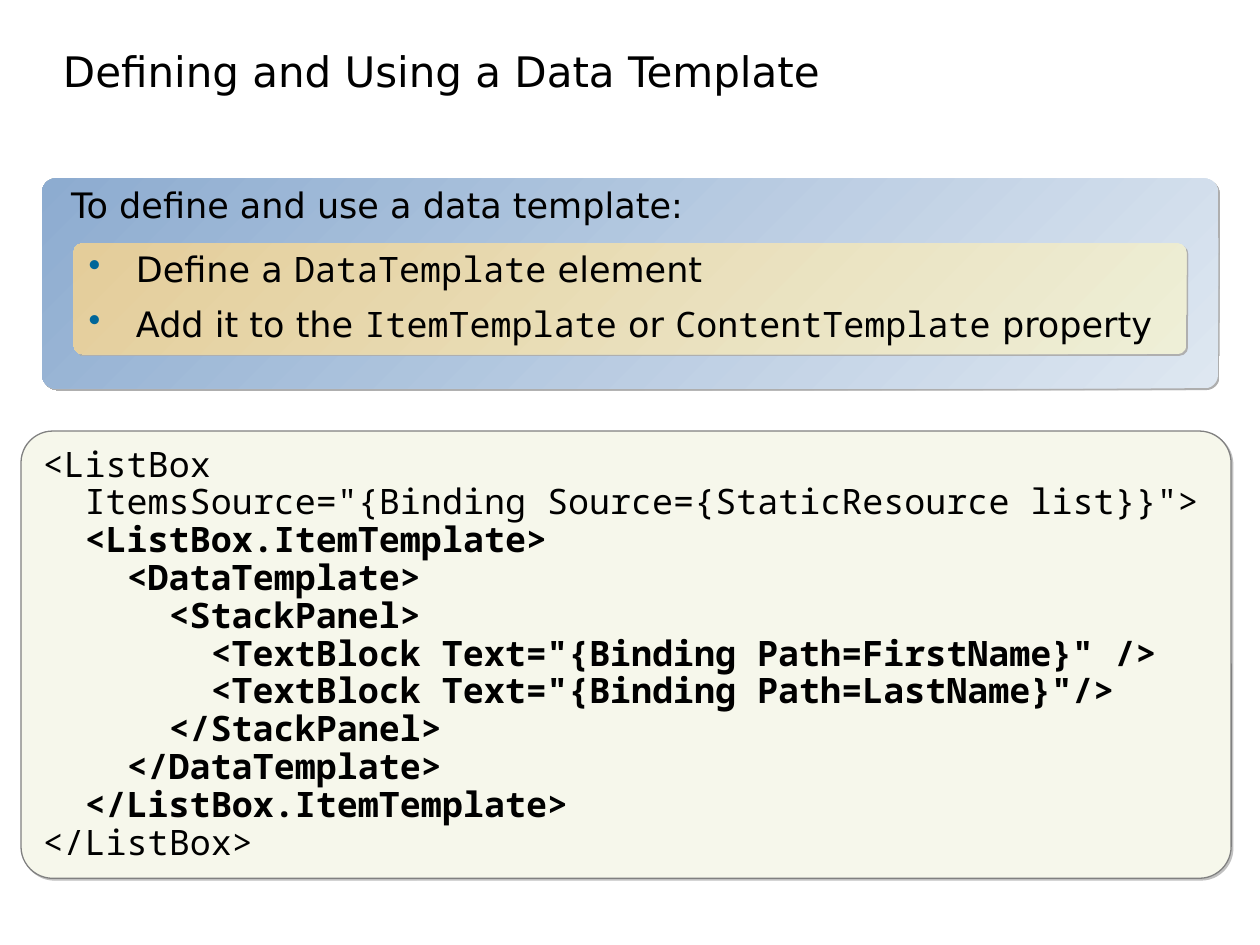
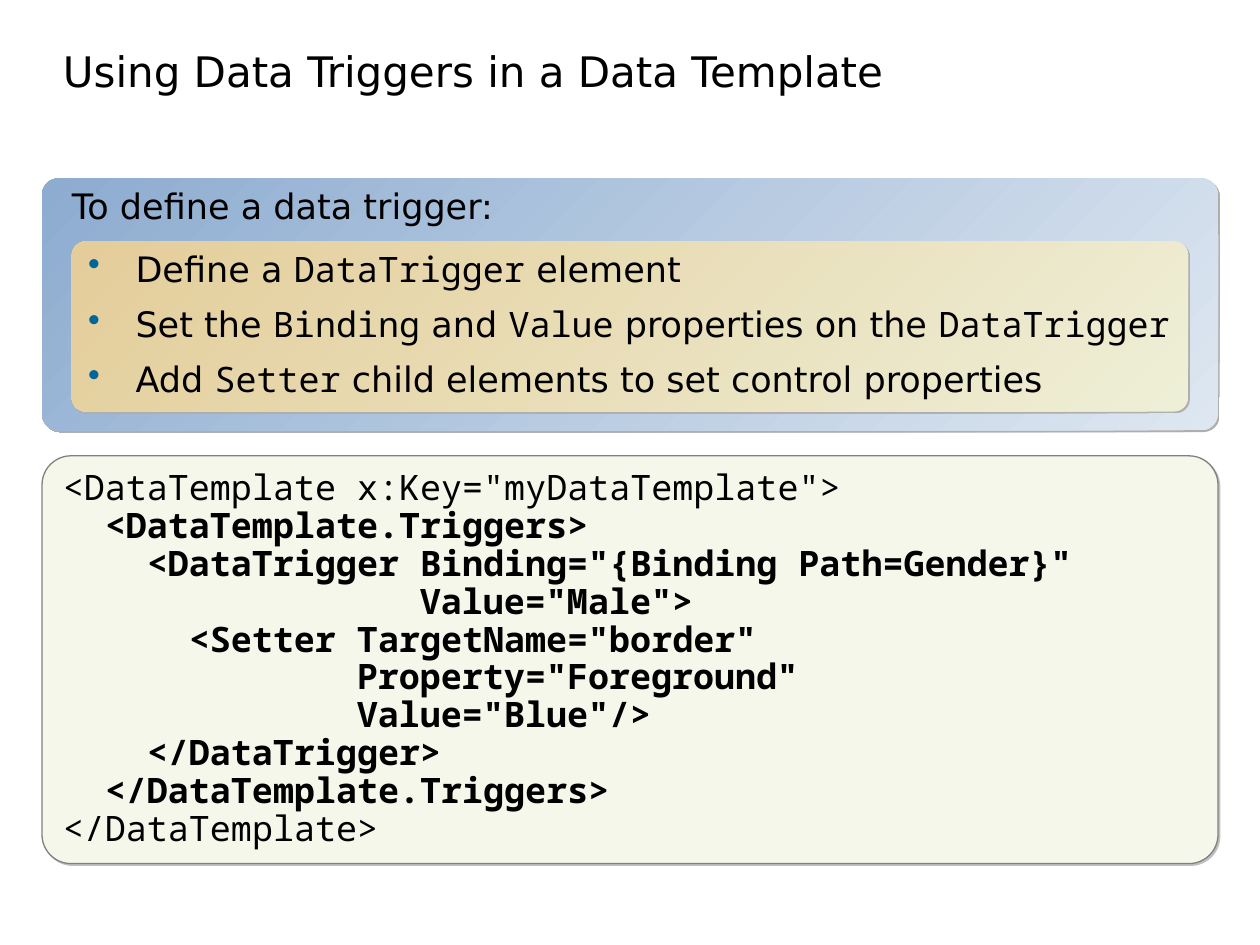
import lxml.etree
import pptx
import pptx.dml.color
import pptx.enum.shapes
import pptx.enum.text
import pptx.oxml.ns
import pptx.util

Pt = pptx.util.Pt
ANCHOR = pptx.enum.text.MSO_ANCHOR

COLORS = {
    "text": "000000",
    "bullet": "006699",
    "panel_light": "DEE7F1",
    "panel_dark": "8DACD0",
    "panel_shadow": "5F5F5F",
    "list_light": "EEEFD7",
    "list_dark": "E4CD9A",
    "list_shadow": "AFAFAF",
    "code_fill": "F6F7EB",
    "code_line": "808080",
    "code_shadow": "C0C0C0",
}
SANS, MONO = "DejaVu Sans", "Noto Sans Mono"
TITLE_SIZE, BODY_SIZE = 24, 20
CODE_CHARACTER = 0.6 * BODY_SIZE  # advance width of the code font
BULLET_INDENT = 27
TITLE_BOX = (36, 0, 612, 58.3)


def rgb(name):
    """Return the named palette colour."""
    return pptx.dml.color.RGBColor.from_string(COLORS[name])


def add_xml(parent, tag, **attributes):
    """Append a DrawingML element and return it."""
    return lxml.etree.SubElement(parent, pptx.oxml.ns.qn(tag), attributes)


def set_frame(shape, anchor, left, right):
    """Set wrapping, anchor and insets of a shape's text frame."""
    frame = shape.text_frame
    frame.word_wrap = True
    frame.vertical_anchor = anchor
    frame.margin_left, frame.margin_right = Pt(left), Pt(right)
    frame.margin_top = frame.margin_bottom = Pt(3.6)
    return frame


def format_runs(paragraph, size=BODY_SIZE, font=SANS, bold=False, spacing=0.9):
    """Apply font and line spacing to a paragraph and its runs."""
    paragraph.alignment = pptx.enum.text.PP_ALIGN.LEFT
    paragraph.line_spacing = spacing
    for run in paragraph.runs:
        run.font.size = Pt(size)
        run.font.name = font
        run.font.bold = bold
        run.font.color.rgb = rgb("text")


def add_paragraphs(frame, count):
    """Return the frame's paragraphs after extending them to count."""
    for _ in range(count - 1):
        frame.add_paragraph()
    return frame.paragraphs


def indent(paragraph, left, first=0):
    """Set left margin and first-line indent, and return the properties."""
    properties = paragraph._p.get_or_add_pPr()
    properties.set("marL", str(Pt(left)))
    properties.set("indent", str(Pt(first)))
    return properties


def add_rounded_box(slide, box, corner, shadow, opacity=100):
    """Add a rounded rectangle with a short, hard shadow."""
    shape = slide.shapes.add_shape(
        pptx.enum.shapes.MSO_SHAPE.ROUNDED_RECTANGLE, *map(Pt, box))
    shape.adjustments[0] = corner
    shape.line.fill.background()
    shape.shadow.inherit = False
    effects = shape._element.spPr.find(pptx.oxml.ns.qn("a:effectLst"))
    outer = add_xml(effects, "a:outerShdw", blurRad="0", dist=str(Pt(1.4)),
                    dir="2700000", algn="ctr", rotWithShape="0")
    color = add_xml(outer, "a:srgbClr", val=COLORS[shadow])
    add_xml(color, "a:alpha", val=str(opacity * 1000))
    return shape


def fill_gradient(shape, light, dark):
    """Fill from dark at the top left to light at the bottom right."""
    shape.fill.gradient()
    shape.fill.gradient_angle = 135
    for stop, name in zip(shape.fill.gradient_stops, (light, dark)):
        stop.color.rgb = rgb(name)


def add_title(slide, text, box=TITLE_BOX):
    """Add the slide title, resting on the bottom of its box."""
    frame = set_frame(slide.shapes.add_textbox(*map(Pt, box)), ANCHOR.BOTTOM, 0, 7.2)
    frame.text = text
    format_runs(frame.paragraphs[0], TITLE_SIZE, spacing=0.85)


def add_bullets(slide, box, items):
    """Add the bullet box; words between backticks are set as code."""
    shape = add_rounded_box(slide, box, 0.083, "list_shadow")
    fill_gradient(shape, "list_light", "list_dark")
    frame = set_frame(shape, ANCHOR.TOP, 7.2, 0)
    for paragraph, item in zip(add_paragraphs(frame, len(items)), items):
        parts = [part for part in enumerate(item.split("`")) if part[1]]
        for _, text in parts:
            paragraph.add_run().text = text
        format_runs(paragraph)
        for run, (position, _) in zip(paragraph.runs, parts):
            run.font.name = MONO if position % 2 else SANS
        paragraph.space_before = Pt(10)
        properties = indent(paragraph, BULLET_INDENT, -BULLET_INDENT)
        color = add_xml(properties, "a:buClr")
        add_xml(color, "a:srgbClr", val=COLORS["bullet"])
        add_xml(properties, "a:buChar", char="\u2022")


def add_steps_panel(slide, box, heading, items, inset, list_height):
    """Add the blue panel with its heading and the bullet box inside."""
    left, top, width, _ = box
    shape = add_rounded_box(slide, box, 0.065, "panel_shadow", 50)
    fill_gradient(shape, "panel_light", "panel_dark")
    frame = set_frame(shape, ANCHOR.TOP, 14.4, 14.4)
    frame.text = heading
    format_runs(frame.paragraphs[0])
    list_box = (left + inset, top + inset + 19, width - 2 * inset, list_height)
    add_bullets(slide, list_box, items)


def add_code(slide, box, code, bold_lines):
    """Add the code box; leading spaces become paragraph indents."""
    shape = add_rounded_box(slide, box, 0.071, "code_shadow")
    shape.fill.solid()
    shape.fill.fore_color.rgb = rgb("code_fill")
    shape.line.color.rgb = rgb("code_line")
    shape.line.width = Pt(0.75)
    frame = set_frame(shape, ANCHOR.MIDDLE, 7.2, 7.2)
    lines = code.strip().splitlines()
    paragraphs = add_paragraphs(frame, len(lines))
    for number, (paragraph, line) in enumerate(zip(paragraphs, lines)):
        paragraph.text = line.lstrip()
        format_runs(paragraph, font=MONO, bold=number in bold_lines)
        indent(paragraph, CODE_CHARACTER * (len(line) - len(paragraph.text)))


def add_topic_slide(presentation, title, steps, code):
    """Add a slide with a title, a panel of steps and a code sample."""
    slide = presentation.slides.add_slide(presentation.slide_layouts[6])
    add_title(slide, title)
    add_code(slide, **code)
    add_steps_panel(slide, **steps)


TEMPLATE_CODE = """
<ListBox
  ItemsSource="{Binding Source={StaticResource list}}">
  <ListBox.ItemTemplate>
    <DataTemplate>
      <StackPanel>
        <TextBlock Text="{Binding Path=FirstName}" />
        <TextBlock Text="{Binding Path=LastName}"/>
      </StackPanel>
    </DataTemplate>
  </ListBox.ItemTemplate>
</ListBox>
"""

TRIGGER_CODE = """
<DataTemplate x:Key="myDataTemplate">
  <DataTemplate.Triggers>
    <DataTrigger Binding="{Binding Path=Gender}"
                 Value="Male">
      <Setter TargetName="border"
              Property="Foreground"
              Value="Blue"/>
    </DataTrigger>
  </DataTemplate.Triggers>
</DataTemplate>
"""


def main():
    """Build and save the presentation."""
    presentation = pptx.Presentation()
    presentation.slide_width, presentation.slide_height = Pt(720), Pt(540)
    add_topic_slide(
        presentation,
        "Defining and Using a Data Template",
        steps={
            "box": (24, 102, 672, 120),
            "heading": "To define and use a data template:",
            "items": ["Define a `DataTemplate` element",
                      "Add it to the `ItemTemplate` or `ContentTemplate` property"],
            "inset": 18,
            "list_height": 63.4,
        },
        code={"box": (12, 246.3, 691.5, 255.6), "code": TEMPLATE_CODE,
              "bold_lines": range(2, 10)},
    )
    add_topic_slide(
        presentation,
        "Using Data Triggers in a Data Template",
        steps={
            "box": (24, 102, 672, 144),
            "heading": "To define a data trigger:",
            "items": ["Define a `DataTrigger` element",
                      "Set the `Binding` and `Value` properties on the `DataTrigger`",
                      "Add `Setter` child elements to set control properties"],
            "inset": 17,
            "list_height": 97.2,
        },
        code={"box": (24, 260.5, 672, 233), "code": TRIGGER_CODE,
              "bold_lines": range(1, 9)},
    )
    presentation.save("out.pptx")


main()
